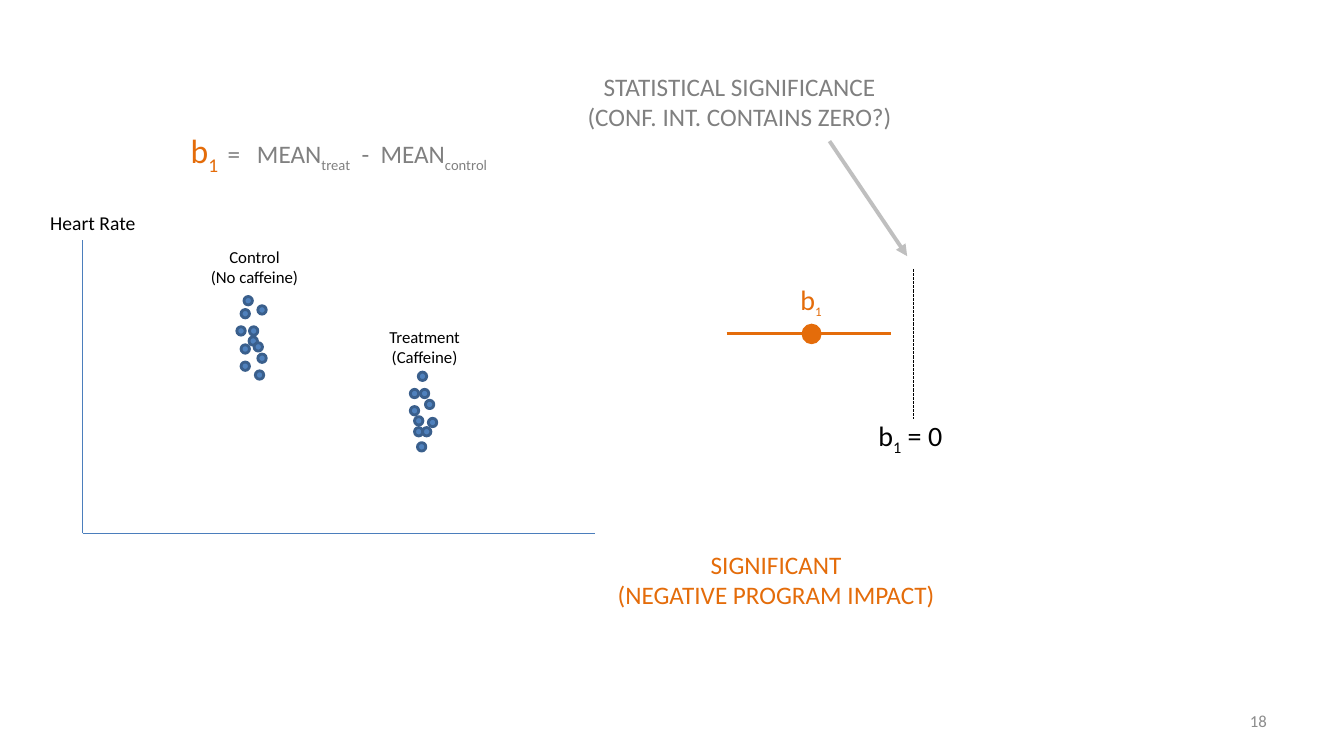
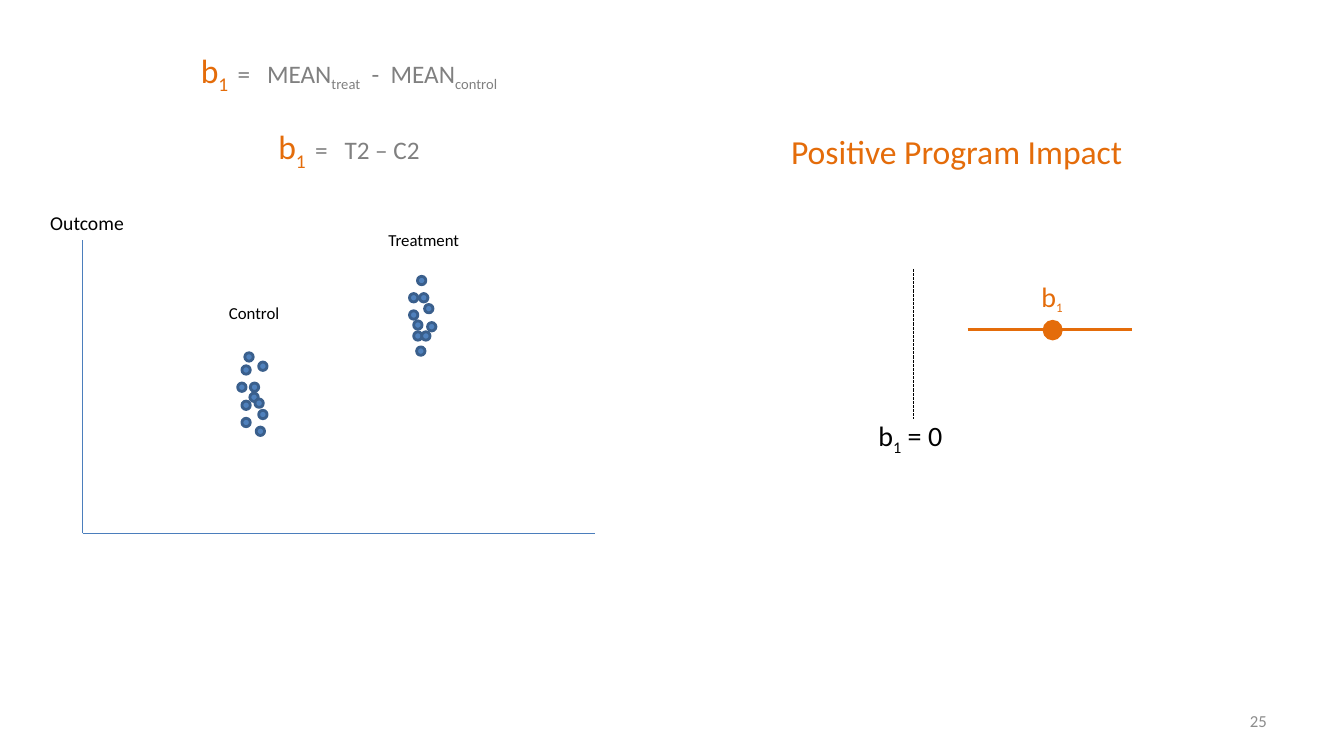
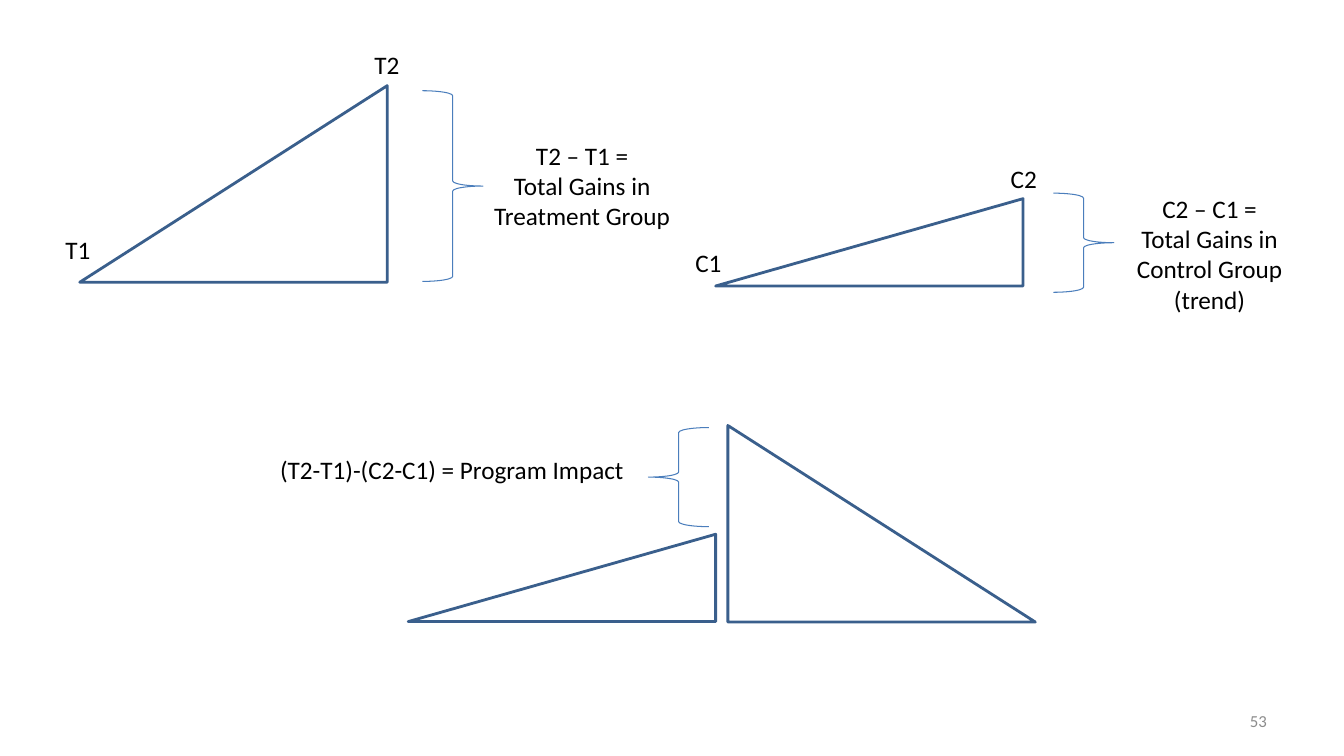
from pptx import Presentation
from pptx import util as u
from pptx.dml.color import RGBColor
from pptx.enum import dml, shapes, text
from pptx.oxml.ns import qn
from lxml import etree

COLUMNS, ROWS = 160, 90
BLACK = RGBColor(0, 0, 0)
ORANGE = RGBColor(0xE4, 0x6C, 0x0A)
GREY = RGBColor(0x80, 0x80, 0x80)
PAGE_GREY = RGBColor(0x8C, 0x8C, 0x8C)
ARROW_GREY = RGBColor(0xBF, 0xBF, 0xBF)
BLUE = RGBColor(0x4F, 0x81, 0xBD)
DARK_BLUE = RGBColor(0x3A, 0x5F, 0x8C)
LINE_BLUE = RGBColor(0x4B, 0x7E, 0xBC)

LEFT, CENTER, RIGHT = text.PP_ALIGN.LEFT, text.PP_ALIGN.CENTER, text.PP_ALIGN.RIGHT
SUBSCRIPT = {"baseline": "-25000"}

CONTROL_DOTS = [
    (0, 3.6), (1.5, 3.6), (1.45, 4.8), (0.5, 5.75), (2.5, 6.85), (0.5, 7.8),
    (2.2, 8.85), (2.5, 1.1), (0.85, 0), (0.5, 1.55), (2.05, 5.5),
]
TREATMENT_DOTS = [
    (0, 4.1), (0, 2.05), (1.8, 3.35), (2.15, 5.5), (0.5, 6.6), (1.45, 6.6),
    (0.85, 8.4), (0.95, 0), (1.2, 2.05), (0.5, 5.3),
]


def grey(words, **marks):
    return words, 18, GREY, marks


def wide_space(points):
    return grey(" ", spc=str(points * 100))


BETA_EQUALS = [
    ("b", 24, ORANGE, {}),
    ("1", 24, ORANGE, SUBSCRIPT),
    (" ", 24, ORANGE, {"spc": "350", **SUBSCRIPT}),
    grey("="),
    wide_space(8),
]
MEAN_DIFFERENCE = BETA_EQUALS + [
    grey("MEAN"), grey("treat", **SUBSCRIPT), wide_space(4), grey("-"),
    wide_space(4), grey("MEAN"), grey("control", **SUBSCRIPT),
]
GAIN_DIFFERENCE = BETA_EQUALS + [grey("T2 – C2")]


class Deck:
    font_name = "Calibri"
    thin, medium, thick = 0.75, 2, 2.75
    big_triangle, small_triangle = (36.6, 23.4), (36.6, 10.4)

    def __init__(self):
        self.presentation = Presentation()
        self.presentation.slide_width = u.Inches(COLUMNS / 12)
        self.presentation.slide_height = u.Inches(ROWS / 12)
        self.slide = None

    def cells(self, *counts):
        return [u.Inches(count / 12) for count in counts]

    def new_slide(self, number):
        self.slide = self.presentation.slides.add_slide(self.presentation.slide_layouts[6])
        box = self.label(number, 114.7, 83.4, 37.3, 4.8, 12, PAGE_GREY, RIGHT)
        box.text_frame.auto_size = text.MSO_AUTO_SIZE.NONE
        box.text_frame.word_wrap = True
        box.text_frame.vertical_anchor = text.MSO_ANCHOR.MIDDLE

    def text_box(self, left, top, width, height):
        box = self.slide.shapes.add_textbox(*self.cells(left, top, width, height))
        box.text_frame.word_wrap = False
        box.text_frame.auto_size = text.MSO_AUTO_SIZE.SHAPE_TO_FIT_TEXT
        return box

    def style_run(self, run, size, color, marks):
        run.font.name = self.font_name
        run.font.size = u.Pt(size)
        run.font.color.rgb = color
        for name, value in marks.items():
            run._r.get_or_add_rPr().set(name, value)

    def label(self, words, left, top, width, height, size=18, color=BLACK, align=CENTER):
        box = self.text_box(left, top, width, height)
        box.text_frame.text = words
        for paragraph in box.text_frame.paragraphs:
            paragraph.alignment = align
            for run in paragraph.runs:
                self.style_run(run, size, color, {})
        return box

    def formula(self, lines, left, top, width, height, align=CENTER):
        frame = self.text_box(left, top, width, height).text_frame
        for index, parts in enumerate(lines):
            paragraph = frame.add_paragraph() if index else frame.paragraphs[0]
            paragraph.alignment = align
            if index:
                paragraph.space_before = u.Pt(22)
            for words, size, color, marks in parts:
                run = paragraph.add_run()
                run.text = words
                self.style_run(run, size, color, marks)

    def line(self, x1, y1, x2, y2, color, weight, dash=None, arrow=False):
        connector = self.slide.shapes.add_connector(
            shapes.MSO_CONNECTOR.STRAIGHT, *self.cells(x1, y1, x2, y2))
        connector.line.color.rgb = color
        connector.line.width = u.Pt(weight)
        if dash:
            connector.line.dash_style = dash
        if arrow:
            outline = connector.line._get_or_add_ln()
            etree.SubElement(outline, qn("a:tailEnd")).set("type", "triangle")
        etree.SubElement(connector._element.spPr, qn("a:effectLst"))

    def shape(self, kind, left, top, width, height, line, weight, fill=None, flip=False):
        shape = self.slide.shapes.add_shape(kind, *self.cells(left, top, width, height))
        shape.shadow.inherit = False
        if fill is None:
            shape.fill.background()
        else:
            shape.fill.solid()
            shape.fill.fore_color.rgb = fill
        shape.line.color.rgb = line
        shape.line.width = u.Pt(weight)
        if flip:
            shape._element.spPr.xfrm.set("flipH", "1")

    def dots(self, offsets, left, top):
        for across, down in offsets:
            self.shape(shapes.MSO_SHAPE.OVAL, left + across, top + down, 1, 1,
                       DARK_BLUE, self.medium, BLUE)

    def axes(self, name, name_width):
        self.line(9.85, 63.5, 70.8, 63.5, LINE_BLUE, self.thin)
        self.line(9.85, 63.5, 9.85, 28.55, LINE_BLUE, self.thin)
        self.label(name, 4.8, 24.5, name_width, 4.1, 14, align=LEFT)

    def zero_line(self):
        self.line(108.8, 32, 108.8, 49.9, BLACK, self.thin, dml.MSO_LINE.SQUARE_DOT)
        parts = [("b", 20, BLACK, {}), ("1", 20, BLACK, SUBSCRIPT), (" = 0", 20, BLACK, {})]
        self.formula([parts], 103.4, 49.2, 10.2, 5.3, LEFT)

    def estimate(self, left, row):
        self.line(left, row, left + 19.6, row, ORANGE, self.medium)
        parts = [("b", 20, ORANGE, {}), ("1", 16, ORANGE, SUBSCRIPT)]
        self.formula([parts], left + 7.6, row - 6.6, 5, 5.3, LEFT)
        self.shape(shapes.MSO_SHAPE.OVAL, left + 9.1, row - 1, 2.05, 2.1,
                   ORANGE, self.medium, ORANGE)

    def triangle(self, left, top, size, flip=True):
        self.shape(shapes.MSO_SHAPE.RIGHT_TRIANGLE, left, top, *size,
                   DARK_BLUE, self.medium, flip=flip)

    def brace(self, left, top, height, flip=False):
        self.shape(shapes.MSO_SHAPE.RIGHT_BRACE, left, top, 7.2, height,
                   LINE_BLUE, self.thin, flip=flip)


def significance_slide(deck):
    deck.new_slide("18")
    deck.axes("Heart Rate", 12.7)
    deck.dots(CONTROL_DOTS, 28.2, 35.3)
    deck.dots(TREATMENT_DOTS, 48.85, 44.3)
    deck.label("Treatment\n(Caffeine)", 45.1, 38.3, 10.9, 6, 12)
    deck.label("Control\n(No caffeine)", 23.8, 28.8, 13, 6, 12)
    deck.zero_line()
    deck.estimate(86.5, 39.7)
    deck.label("SIGNIFICANT\n(NEGATIVE PROGRAM IMPACT)", 72.2, 64.8, 40.4, 8.5, color=ORANGE)
    deck.formula([MEAN_DIFFERENCE], 20.5, 14.9, 39.7, 6)
    deck.label("STATISTICAL SIGNIFICANCE\n(CONF. INT. CONTAINS ZERO?)",
               67.3, 7.9, 41.5, 8.5, color=GREY)
    deck.line(98.75, 16.8, 108, 30.5, ARROW_GREY, deck.thick, arrow=True)


def positive_impact_slide(deck):
    deck.new_slide("25")
    deck.axes("Outcome", 11.3)
    deck.dots(CONTROL_DOTS, 28.3, 42)
    deck.dots(TREATMENT_DOTS, 48.75, 32.9)
    deck.label("Treatment", 45, 26.8, 10.9, 3.6, 12)
    deck.label("Control", 26, 35.5, 8.5, 3.6, 12)
    deck.zero_line()
    deck.estimate(115.2, 39.25)
    deck.formula([MEAN_DIFFERENCE, GAIN_DIFFERENCE], 21.7, 5.3, 39.7, 15.7)
    deck.label("Positive Program Impact", 92.8, 15, 42.2, 6, 24, ORANGE)


def gains_slide(deck):
    deck.new_slide("53")
    deck.triangle(86.65, 50.65, deck.big_triangle, flip=False)
    deck.triangle(48.6, 63.6, deck.small_triangle)
    deck.triangle(9.5, 10.2, deck.big_triangle)
    deck.triangle(85.2, 23.65, deck.small_triangle)
    for name, left, top in [("T2", 43.4, 5.3), ("T1", 6.6, 27.25),
                            ("C2", 119.15, 18.85), ("C1", 81.6, 28.9)]:
        deck.label(name, left, top, 5.5, 4.8, align=LEFT)
    deck.brace(50.3, 10.8, 22.7)
    deck.brace(125.4, 23, 11.8)
    deck.brace(77.2, 50.9, 11.8, flip=True)
    deck.label("T2 – T1 =\nTotal Gains in\nTreatment Group", 57.5, 16.1, 23.6, 12.1)
    deck.label("C2 – C1 =\nTotal Gains in\nControl Group\n(trend)", 134, 22.4, 20, 15.7)
    deck.label("(T2-T1)-(C2-C1) = Program Impact", 31.9, 53.5, 43.8, 4.8)


def main():
    deck = Deck()
    for build in (significance_slide, positive_impact_slide, gains_slide):
        build(deck)
    deck.presentation.save("out.pptx")


if __name__ == "__main__":
    main()
